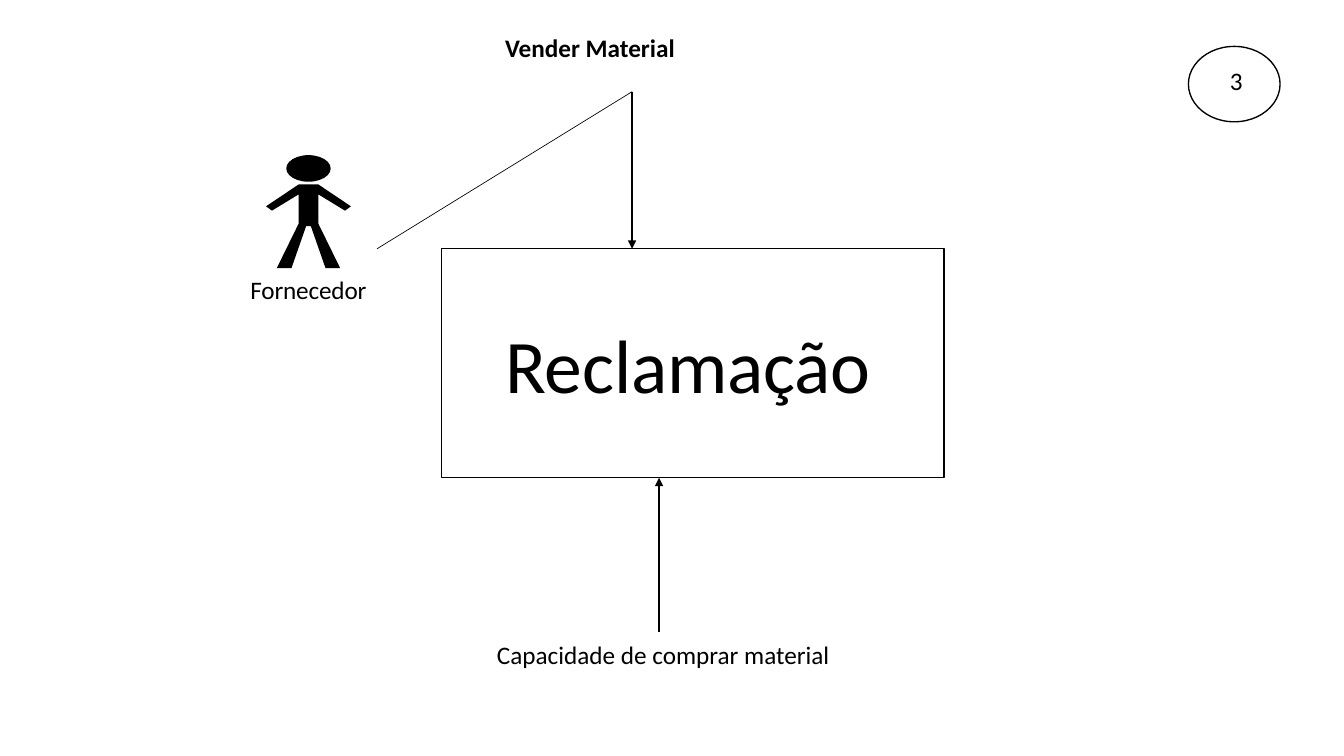
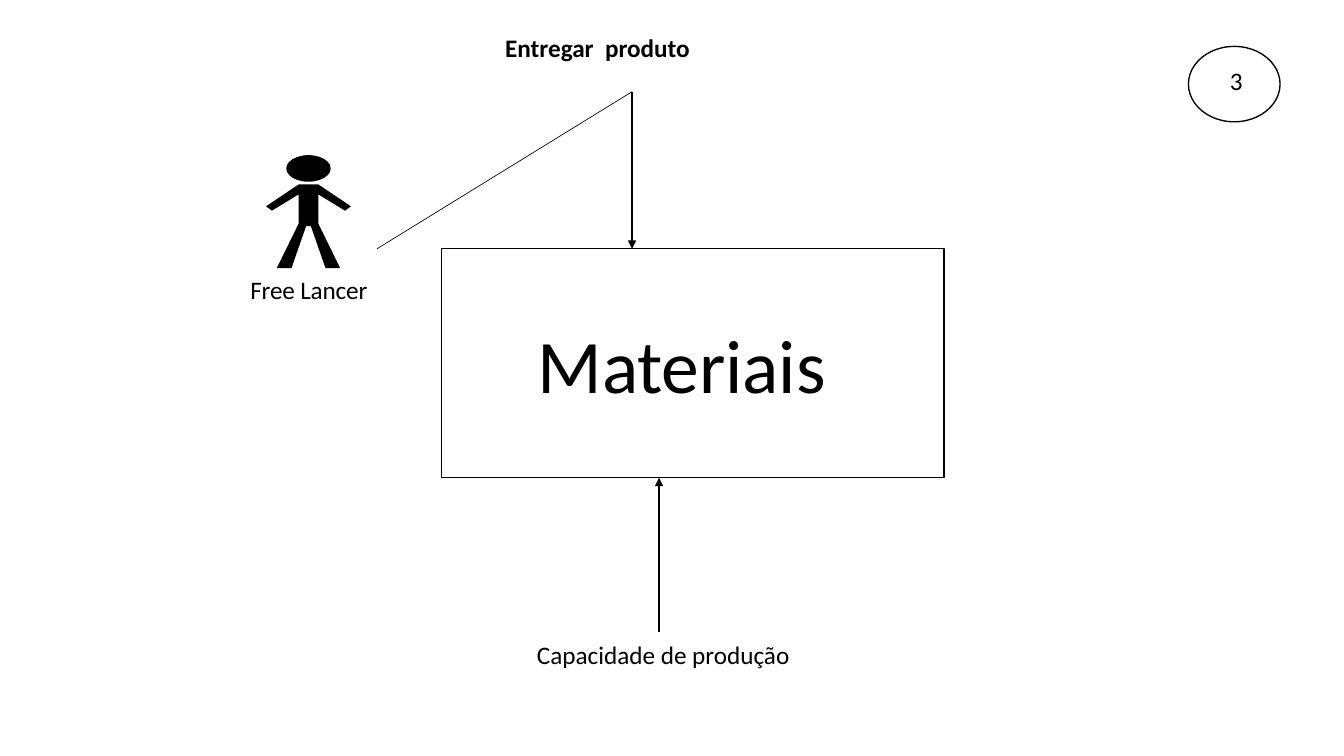
from lxml.etree import SubElement
from pptx import Presentation
from pptx.dml.color import RGBColor
from pptx.enum.shapes import MSO_CONNECTOR, MSO_SHAPE
from pptx.enum.text import MSO_ANCHOR, MSO_AUTO_SIZE, PP_ALIGN
from pptx.oxml.ns import qn
from pptx.util import Cm, Pt

BLACK = RGBColor(0, 0, 0)
FONT = "Calibri"
LINE = Pt(0.96)
THIN_LINE = Pt(0.48)

# Left half of the body as (distance from the axis, height) in cm, neck to crotch
HALF_BODY = [(0.25, 0), (1.07, 0.55), (0.92, 0.66), (0.25, 0.25),
             (0.25, 0.99), (0.8, 2.11), (0.43, 2.11), (0.06, 1.05)]

# Title, actor, process, right inset of the process name, capability
SLIDES = [
    ("Vender Material", "Fornecedor", "Reclamação", Cm(0.23),
     "Capacidade de comprar material"),
    ("Entregar  produto", "Free Lancer", "Materiais", Cm(0.55),
     "Capacidade de produção"),
]


def write(shape, text, size=18, bold=False, align=PP_ALIGN.LEFT,
          anchor=MSO_ANCHOR.TOP, spacing=0):
    """Set one line of text; spacing is in hundredths of a point."""
    tf = shape.text_frame
    tf.text = text
    tf.word_wrap = True
    tf.auto_size = MSO_AUTO_SIZE.NONE
    tf.vertical_anchor = anchor
    tf.margin_left = tf.margin_right = tf.margin_top = tf.margin_bottom = 0
    p = tf.paragraphs[0]
    p.alignment = align
    r = p.runs[0]
    r.font.name = FONT
    r.font.size = Pt(size)
    r.font.bold = bold
    r.font.color.rgb = BLACK
    if spacing:
        r.font._element.set("spc", str(spacing))
    return tf


def fill_black(shape):
    shape.shadow.inherit = False
    shape.fill.solid()
    shape.fill.fore_color.rgb = BLACK
    shape.line.fill.background()


def add_outline(s, kind, x, y, w, h):
    sp = s.shapes.add_shape(kind, x, y, w, h)
    sp.shadow.inherit = False
    sp.fill.background()
    sp.line.color.rgb = BLACK
    sp.line.width = LINE
    return sp


def add_line(s, x1, y1, x2, y2, width=LINE, arrow=True):
    line = s.shapes.add_connector(MSO_CONNECTOR.STRAIGHT, x1, y1, x2, y2)
    line.line.color.rgb = BLACK
    line.line.width = width
    if arrow:
        SubElement(line.line._get_or_add_ln(), qn("a:tailEnd"), type="triangle")
    SubElement(line._element.spPr, qn("a:effectLst"))


def add_title(s, text, x, y, w, h):
    title = s.shapes.title
    title.left, title.top, title.width, title.height = x, y, w, h
    write(title, text, bold=True)


def add_actor(s, name, x, y, w):
    """Draw a standing figure with its name below, centred in width w."""
    axis = x + w // 2
    head_w = Cm(1.12)
    fill_black(s.shapes.add_shape(MSO_SHAPE.OVAL, axis - head_w // 2, y,
                                  head_w, Cm(0.67)))
    body = [(-dx, dy) for dx, dy in HALF_BODY] + HALF_BODY[::-1]
    points = [(axis + Cm(dx), y + Cm(0.74 + dy)) for dx, dy in body]
    builder = s.shapes.build_freeform(*points[0])
    builder.add_line_segments(points[1:])
    fill_black(builder.convert_to_shape())
    label = s.shapes.add_textbox(x - Cm(0.4), y + Cm(3), Cm(3.3), Cm(0.84))
    write(label, name, spacing=-10)


def add_process(s, name, inset, x, y, w, h):
    """Draw the process box with the event line above and the arrow below."""
    box = add_outline(s, MSO_SHAPE.RECTANGLE, x, y, w, h)
    tf = write(box, name, 54, align=PP_ALIGN.CENTER,
               anchor=MSO_ANCHOR.MIDDLE, spacing=-10)
    tf.margin_right = inset
    event_x, event_y = x + Cm(4.81), y - Cm(3.96)
    add_line(s, x - Cm(1.62), y, event_x, event_y, THIN_LINE, arrow=False)
    add_line(s, event_x, event_y, event_x, y, Pt(1.25))
    input_x, bottom = x + Cm(5.49), y + h
    add_line(s, input_x, bottom + Cm(3.89), input_x, bottom)


def add_number(s, number, x, y, w, h):
    oval = add_outline(s, MSO_SHAPE.OVAL, x, y, w, h)
    tf = write(oval, number, align=PP_ALIGN.CENTER, anchor=MSO_ANCHOR.MIDDLE)
    tf.margin_left, tf.margin_bottom = Cm(0.1), Cm(0.2)


def add_capability(s, text, x, y, w, h):
    write(s.shapes.add_textbox(x, y, w, h), text, align=PP_ALIGN.CENTER)


def add_event_slide(prs, title, actor, process, inset, capability):
    s = prs.slides.add_slide(prs.slide_layouts[5])
    add_title(s, title, Cm(12.73), Cm(0.81), Cm(7.85), Cm(0.84))
    add_actor(s, actor, Cm(6.71), Cm(3.91), Cm(2.13))
    add_process(s, process, inset, Cm(11.12), Cm(6.27), Cm(12.67), Cm(5.77))
    add_number(s, "3", Cm(29.95), Cm(1.17), Cm(2.31), Cm(1.9))
    add_capability(s, capability, Cm(11.85), Cm(16.12), Cm(9.73), Cm(0.84))


def main():
    prs = Presentation()
    prs.slide_width, prs.slide_height = Cm(33.87), Cm(19.05)
    for content in SLIDES:
        add_event_slide(prs, *content)
    prs.save("out.pptx")


if __name__ == "__main__":
    main()
